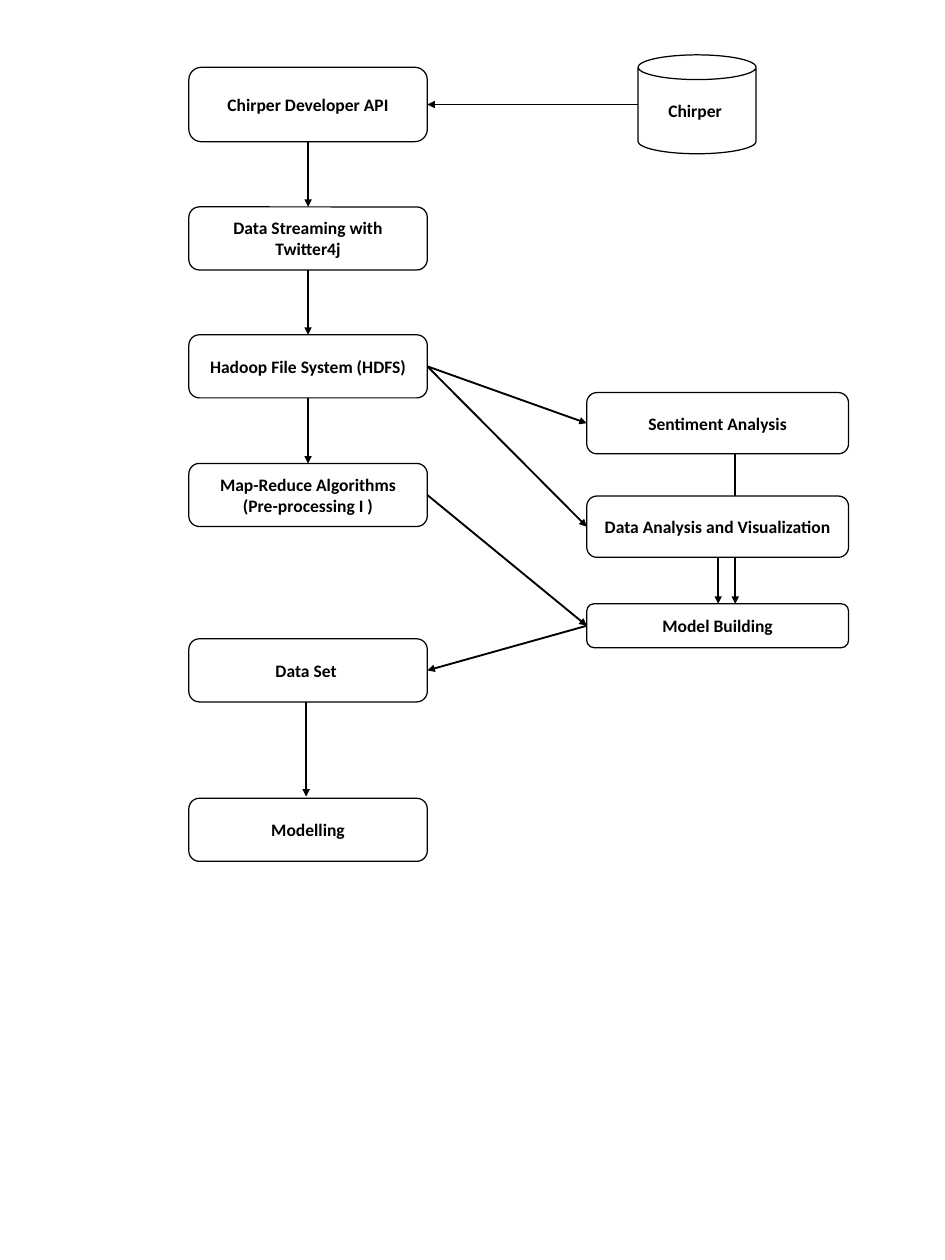
from dataclasses import dataclass

from lxml import etree
from pptx import Presentation
from pptx.dml.color import RGBColor
from pptx.enum.shapes import MSO_CONNECTOR, MSO_SHAPE
from pptx.enum.text import MSO_ANCHOR, PP_ALIGN
from pptx.oxml.ns import qn
from pptx.util import Cm, Pt


@dataclass(frozen=True)
class Theme:
    ink: RGBColor = RGBColor(0, 0, 0)
    paper: RGBColor = RGBColor(255, 255, 255)
    font: str = "Calibri"
    text: Pt = Pt(14)
    outline: Pt = Pt(1)
    arrow: Pt = Pt(1.5)


THEME = Theme()
TOP, LEFT, BOTTOM, RIGHT = range(4)  # connection sites of a rounded box

# Columns: left edge and width in cm
MAIN = (5.33, 6.73)
SIDE = (16.56, 7.39)

# Steps: column, top, height, lines of text
STEPS = {
    "api": (MAIN, 1.9, 2.1, ["Chirper Developer API"]),
    "stream": (MAIN, 5.84, 1.78, ["Data Streaming with Twitter4j"]),
    "hdfs": (MAIN, 9.45, 1.78, ["Hadoop File System (HDFS)"]),
    "reduce": (MAIN, 13.08, 1.78,
               ["Map-Reduce Algorithms", "(Pre-processing I )"]),
    "model": (SIDE, 17.04, 1.24, ["Model Building"]),
    "visual": (SIDE, 14.0, 1.73, ["Data Analysis and Visualization"]),
    "dataset": (MAIN, 18.03, 1.78, ["Data Set "]),
    "sentiment": (SIDE, 11.08, 1.73, ["Sentiment Analysis"]),
    "modelling": (MAIN, 22.53, 1.78, ["Modelling"]),
}

# Links between the middles of two sides
LINKS = [
    ("api", BOTTOM, "stream", TOP),
    ("stream", BOTTOM, "hdfs", TOP),
    ("hdfs", BOTTOM, "reduce", TOP),
    ("reduce", RIGHT, "model", LEFT),
    ("model", LEFT, "dataset", RIGHT),
    ("hdfs", RIGHT, "visual", LEFT),
    ("hdfs", RIGHT, "sentiment", LEFT),
]


def add_node(s, kind, x, y, w, h, lines):
    """Add an outlined shape with centred bold text."""
    sp = s.shapes.add_shape(kind, Cm(x), Cm(y), Cm(w), Cm(h))
    sp.shadow.inherit = False
    sp.fill.solid()
    sp.fill.fore_color.rgb = THEME.paper
    sp.line.color.rgb = THEME.ink
    sp.line.width = THEME.outline
    tf = sp.text_frame
    tf.word_wrap = True
    tf.vertical_anchor = MSO_ANCHOR.MIDDLE
    p = tf.paragraphs[0]
    p.alignment = PP_ALIGN.CENTER
    for i, line in enumerate(lines):
        if i:
            p.add_line_break()
        r = p.add_run()
        r.text = line
        r.font.name = THEME.font
        r.font.size = THEME.text
        r.font.bold = True
        r.font.color.rgb = THEME.ink
    return sp


def add_arrow(s, x1=0, y1=0, x2=0, y2=0):
    """Add a straight arrow with its head at the second point."""
    cx = s.shapes.add_connector(
        MSO_CONNECTOR.STRAIGHT, Cm(x1), Cm(y1), Cm(x2), Cm(y2))
    cx.line.color.rgb = THEME.ink
    cx.line.width = THEME.arrow
    ln = cx.line._get_or_add_ln()
    etree.SubElement(ln, qn("a:tailEnd"), type="triangle")
    etree.SubElement(cx._element.spPr, qn("a:effectLst"))
    return cx


def link(s, source, out_side, target, in_side):
    """Join two boxes with an arrow that follows them."""
    cx = add_arrow(s)
    cx.begin_connect(source, out_side)
    cx.end_connect(target, in_side)


def main():
    prs = Presentation()
    prs.slide_width, prs.slide_height = Cm(26.67), Cm(35.56)
    s = prs.slides.add_slide(prs.slide_layouts[6])

    # Arrow that passes behind the visualization box
    add_arrow(s, 20.75, 12.82, 20.75, 17.04)

    # Data source and steps
    add_node(s, MSO_SHAPE.CAN, 18.01, 1.55, 3.33, 2.79, ["Chirper "])
    boxes = {
        name: add_node(s, MSO_SHAPE.ROUNDED_RECTANGLE, x, y, w, h, lines)
        for name, ((x, w), y, h, lines) in STEPS.items()
    }

    # Arrows
    for source, out_side, target, in_side in LINKS:
        link(s, boxes[source], out_side, boxes[target], in_side)
    add_arrow(s, 18.01, 2.95, 12.06, 2.95)
    add_arrow(s, 20.27, 15.73, 20.27, 17.04)
    add_arrow(s, 8.64, 19.81, 8.64, 22.48)

    prs.save("out.pptx")


main()
